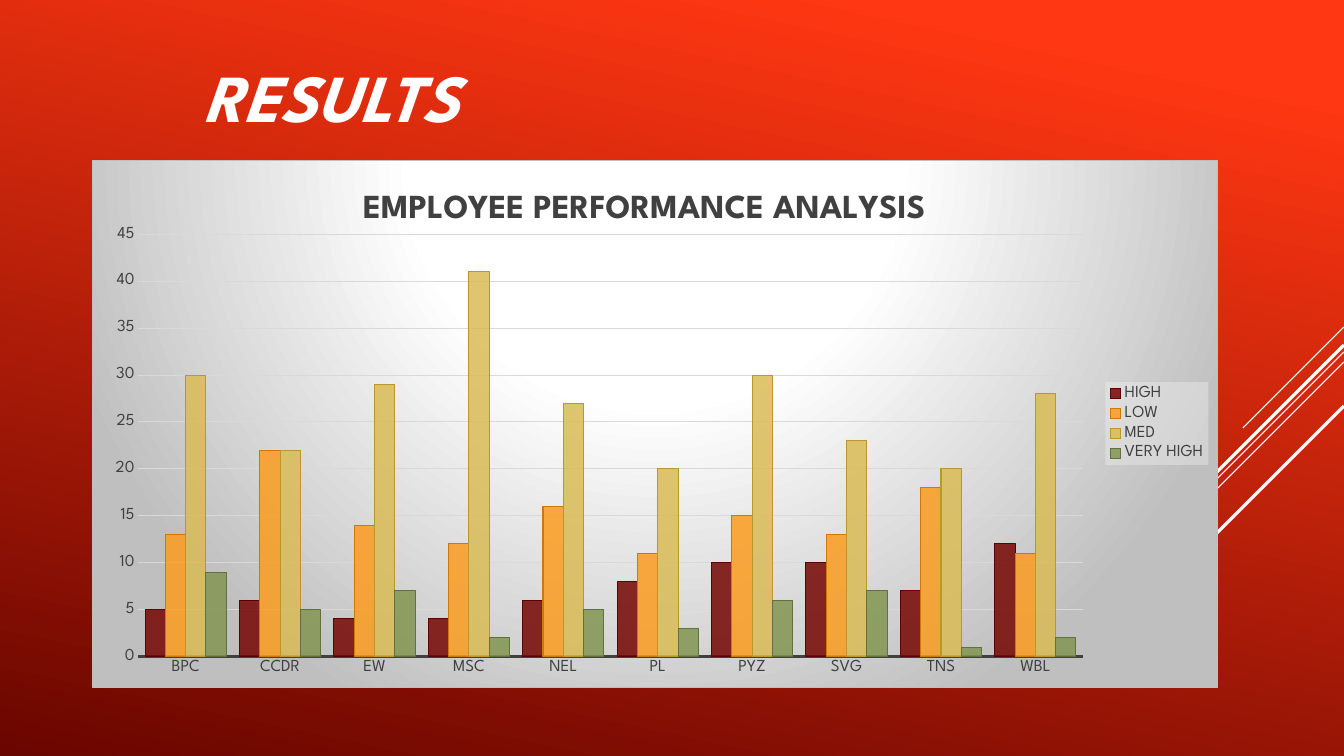
from lxml.etree import SubElement
from pptx import Presentation
from pptx.chart.data import CategoryChartData
from pptx.dml.color import RGBColor
from pptx.enum.chart import XL_CHART_TYPE as ChartType, XL_LEGEND_POSITION as LegendPosition
from pptx.enum.chart import XL_TICK_MARK as TickMark
from pptx.enum.shapes import MSO_CONNECTOR as Connector
from pptx.oxml import parse_xml
from pptx.oxml.ns import nsdecls, qn
from pptx.util import Pt

PAGE_WIDTH, PAGE_HEIGHT = 1344, 756
EMU_PER_PX = 12192000 / PAGE_WIDTH
FONT = "League Spartan"
COLORS = {
    "white": "FFFFFF", "text": "404040", "grid": "D9D9D9", "edge": "BFBFBF",
    "legend": "F2F2F2", "bright": "FF3712", "dark": "6A0600",
}
TEAMS = ["BPC", "CCDR", "EW", "MSC", "NEL", "PL", "PYZ", "SVG", "TNS", "WBL"]
# rating, fill, outline, employees per team
RATINGS = [
    ("HIGH", "760603", "580502", [5, 6, 4, 4, 6, 8, 10, 10, 7, 12]),
    ("LOW", "FA9C1F", "CE7805", [13, 22, 14, 12, 16, 11, 15, 13, 18, 11]),
    ("MED", "D9BB55", "B99829", [30, 22, 29, 41, 27, 20, 30, 23, 20, 28]),
    ("VERY HIGH", "829551", "61703D", [9, 5, 7, 2, 5, 3, 6, 7, 1, 2]),
]
# top, run, width in points of each diagonal
STRIPES = [(327, 101, 0.75), (352, 328, 0.75), (362, 208, 0.75), (345, 193, 2.25), (406, 140, 2.25)]


def px(*lengths):
    return [round(length * EMU_PER_PX) for length in lengths]


def rgb(name):
    return RGBColor.from_string(COLORS.get(name, name))


def style_font(font, size, color, bold=False, italic=False):
    font.name, font.size, font.bold, font.italic = FONT, Pt(size), bold, italic
    font.color.rgb = rgb(color)


def style_line(line, color, width):
    line.color.rgb = rgb(color)
    line.width = Pt(width)


def paint_background(page):
    fill = page.background.fill
    fill.gradient()
    fill.gradient_angle = 360 - 102
    for stop, color, position in zip(fill.gradient_stops, ("bright", "dark"), (0.1, 1)):
        stop.color.rgb = rgb(color)
        stop.position = position


def add_stripes(page, right):
    for top, run, width in STRIPES:
        stripe = page.shapes.add_connector(Connector.STRAIGHT, *px(right, top, right - run, top + run))
        style_line(stripe.line, "white", width)
        SubElement(stripe._element.spPr, qn("a:effectLst"))


def add_heading(page, left, top, width, height):
    box = page.shapes.add_textbox(*px(left, top, width, height))
    box.text_frame.word_wrap = True
    para = box.text_frame.paragraphs[0]
    para.text = "RESULTS"
    style_font(para.font, 48, "white", bold=True, italic=True)


def place_part(part, index, frame, left, top, width=None, height=None, inner=False):
    """Fix a chart part, given in px from the chart's corner, as shares of the frame."""
    for old in part.findall(qn("c:layout")):
        part.remove(old)
    layout = parse_xml(f"<c:layout {nsdecls('c')}><c:manualLayout/></c:layout>")
    settings = [("layoutTarget", "inner")] if inner else []
    settings += [("xMode", "edge"), ("yMode", "edge")]
    shares = zip("xywh", (left, top, width, height), frame * 2)
    settings += [(key, f"{length / whole:.4f}") for key, length, whole in shares if length is not None]
    for key, value in settings:
        SubElement(layout[0], qn(f"c:{key}")).set("val", value)
    part.insert(index, layout)


def fill_chart_area(chart):
    stops = "".join(
        f'<a:gs pos="{share}000"><a:srgbClr val="{COLORS[color]}"/></a:gs>'
        for share, color in ((0, "white"), (39, "white"), (100, "edge")))
    area = parse_xml(
        f'<c:spPr {nsdecls("c", "a")}><a:gradFill><a:gsLst>{stops}</a:gsLst><a:path path="circle">'
        '<a:fillToRect l="50000" t="-80000" r="50000" b="180000"/></a:path></a:gradFill>'
        f'<a:ln w="9525"><a:solidFill><a:srgbClr val="{COLORS["edge"]}"/></a:solidFill></a:ln></c:spPr>')
    chart._chartSpace.find(qn("c:chart")).addnext(area)


def style_axes(chart):
    for axis in (chart.category_axis, chart.value_axis):
        axis.major_tick_mark = axis.minor_tick_mark = TickMark.NONE
        style_font(axis.tick_labels.font, 12, "text")
    style_line(chart.category_axis.format.line, "text", 1.5)
    values = chart.value_axis
    values.minimum_scale, values.maximum_scale, values.major_unit = 0, 45, 5
    values.format.line.fill.background()
    style_line(values.major_gridlines.format.line, "grid", 0.75)


def style_legend(chart, frame):
    chart.has_legend = True
    legend = chart.legend
    legend.position = LegendPosition.RIGHT
    legend.include_in_layout = False
    style_font(legend.font, 12, "text")
    place_part(legend._element, 1, frame, 1014, 222, 103, 83)
    legend._element.find(qn("c:txPr")).addprevious(parse_xml(
        f'<c:spPr {nsdecls("c", "a")}><a:solidFill><a:srgbClr val="{COLORS["legend"]}">'
        '<a:alpha val="39000"/></a:srgbClr></a:solidFill></c:spPr>'))


def add_performance_chart(page, left, top, width, height):
    data = CategoryChartData()
    data.categories = TEAMS
    for name, _, _, counts in RATINGS:
        data.add_series(name, counts)
    chart = page.shapes.add_chart(
        ChartType.COLUMN_CLUSTERED, *px(left, top, width, height), data).chart
    frame = (width, height)
    style_font(chart.font, 10, "white")
    fill_chart_area(chart)

    chart.has_title = True
    para = chart.chart_title.text_frame.paragraphs[0]
    para.text = "EMPLOYEE PERFORMANCE ANALYSIS"
    style_font(para.font, 24, "text", bold=True)
    place_part(chart.chart_title._element, 1, frame, 265, 25)

    plot = chart.plots[0]
    plot.gap_width, plot.overlap, plot.vary_by_categories = 65, 0, False
    for series, (_, fill, outline, _) in zip(plot.series, RATINGS):
        series.format.fill.solid()
        series.format.fill.fore_color.rgb = rgb(fill)
        SubElement(series._element.find(".//" + qn("a:srgbClr")), qn("a:alpha")).set("val", "85000")
        style_line(series.format.line, outline, 0.75)
    style_axes(chart)
    style_legend(chart, frame)
    place_part(chart._chartSpace.find(".//" + qn("c:plotArea")), 0, frame, 46, 74, 945, 423, inner=True)


def build_results(deck):
    page = deck.slides.add_slide(deck.slide_layouts[6])
    paint_background(page)
    add_stripes(page, PAGE_WIDTH)
    add_performance_chart(page, 92, 160, 1126, 528)
    add_heading(page, 194, 50, 496, 92)


def main():
    deck = Presentation()
    deck.slide_width, deck.slide_height = px(PAGE_WIDTH, PAGE_HEIGHT)
    build_results(deck)
    deck.save("out.pptx")


if __name__ == "__main__":
    main()
